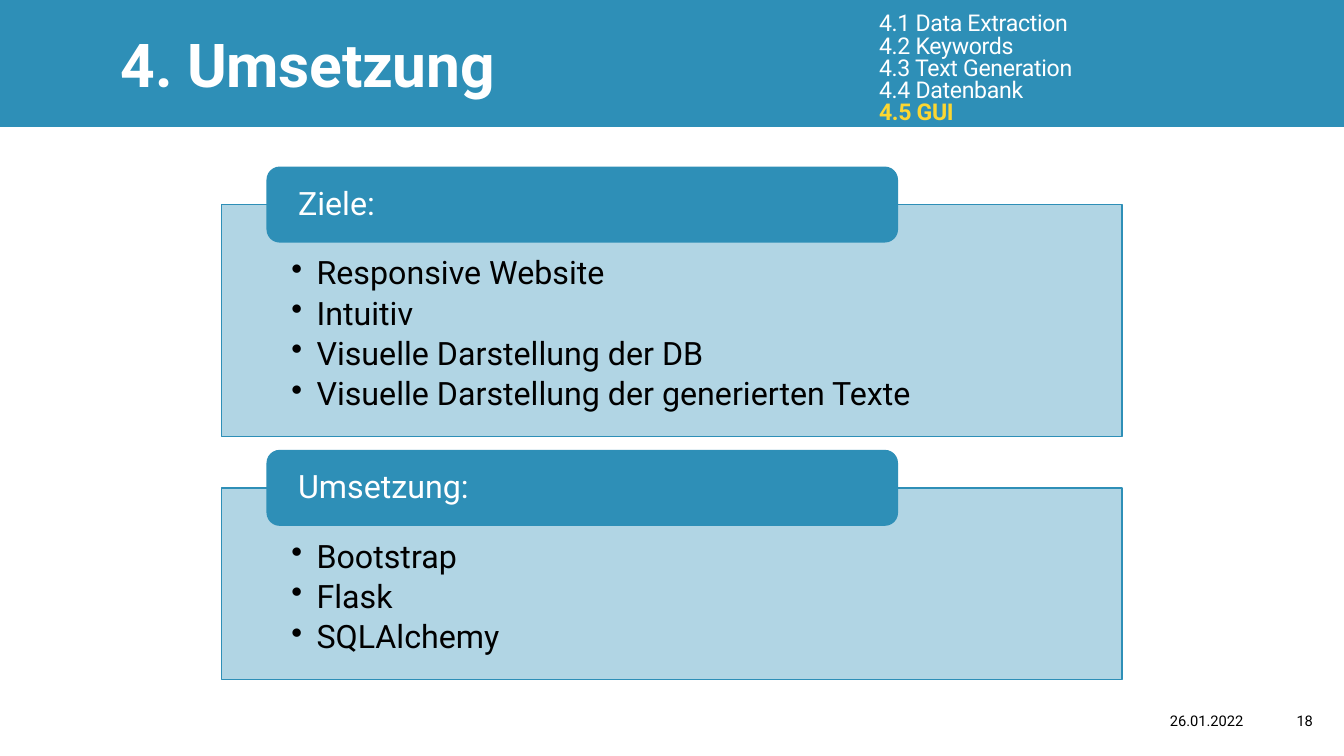
from pptx import Presentation
from pptx.dml.color import RGBColor
from pptx.enum.shapes import MSO_SHAPE
from pptx.enum.text import MSO_ANCHOR, PP_ALIGN
from pptx.oxml.ns import qn
from pptx.util import Inches, Pt
from lxml.etree import SubElement

TITLE = "4. Umsetzung"
MENU = ["4.1 Data Extraction", "4.2 Keywords", "4.3 Text Generation",
        "4.4 Datenbank", "4.5 GUI"]
ACTIVE = "4.5 GUI"
FOOTER = [("26.01.2022", 7.67, 4.76), ("18", 12.43, 0.69)]
CARDS = [
    ("Ziele:", 1.66, 2.3,
     ["Responsive Website", "Intuitiv", "Visuelle Darstellung der DB",
      "Visuelle Darstellung der generierten Texte"]),
    ("Umsetzung:", 4.47, 1.9, ["Bootstrap", "Flask", "SQLAlchemy"]),
]
FONT = "Roboto"
BLUE, WHITE, BLACK, GOLD = "2E8FB7", "FFFFFF", "000000", "FCD731"
TAB = 0.74


def color(code):
    return RGBColor.from_string(code)


def shape(kind, box, line=True, alpha=None):
    item = slide.shapes.add_shape(kind, *map(Inches, box))
    item.shadow.inherit = False
    item.fill.solid()
    item.fill.fore_color.rgb = color(BLUE)
    if alpha:
        tint = item.fill._xPr.find(qn("a:solidFill"))[0]
        SubElement(tint, qn("a:alpha")).set("val", str(alpha * 1000))
    if line:
        item.line.color.rgb = color(BLUE)
        item.line.width = Pt(1)
    else:
        item.line.fill.background()
    return item


def label(box):
    return slide.shapes.add_textbox(*map(Inches, box))


def write(item, lines, size, ink, align=PP_ALIGN.LEFT, anchor=MSO_ANCHOR.MIDDLE,
          pad=(0.1, 0.05, 0.1, 0.05), space=None, after=None,
          bullet=False, tight=False, active=None, bold=False):
    frame = item.text_frame
    frame.word_wrap = True
    frame.vertical_anchor = anchor
    (frame.margin_left, frame.margin_top,
     frame.margin_right, frame.margin_bottom) = map(Inches, pad)
    for i, text in enumerate(lines):
        para = frame.paragraphs[0] if i == 0 else frame.add_paragraph()
        run = para.add_run()
        run.text = text
        if tight:
            run._r.get_or_add_rPr().set("spc", "-20")
        para.alignment = align
        if space:
            para.line_spacing = space
        if after:
            para.space_after = Pt(after)
        if bullet:
            props = para._p.get_or_add_pPr()
            props.set("marL", str(Inches(0.25)))
            props.set("indent", str(-Inches(0.25)))
            SubElement(props, qn("a:buChar")).set("char", "•")
        font = para.font
        font.name = FONT
        font.size = Pt(size)
        font.bold = bold or text == active
        font.color.rgb = color(GOLD if text == active else ink)


deck = Presentation()
deck.slide_width, deck.slide_height = Inches(13.33), Inches(7.5)
slide = deck.slides.add_slide(deck.slide_layouts[6])

shape(MSO_SHAPE.RECTANGLE, (0, 0, 13.33, 1.26), line=False)
write(label((1.1, 0.21, 4.17, 0.84)), [TITLE], 43.2, WHITE, tight=True, bold=True)
write(label((8.62, 0.01, 4.5, 1.36)), MENU, 16.5, WHITE,
      space=0.8, tight=True, active=ACTIVE)

for head, top, height, items in CARDS:
    body = shape(MSO_SHAPE.RECTANGLE, (2.2, top + TAB / 2, 8.93, height), alpha=37)
    write(body, items, 23, BLACK, anchor=MSO_ANCHOR.TOP,
          pad=(0.69, 0.52, 0.69, 0.18), space=0.9, after=4, bullet=True)
    tab = shape(MSO_SHAPE.ROUNDED_RECTANGLE, (2.65, top, 6.25, TAB))
    write(tab, [head], 23, WHITE, pad=(0.27, 0, 0.27, 0), space=0.9)

for text, left, width in FOOTER:
    write(label((left, 6.95, width, 0.4)), [text], 10.5, BLACK, align=PP_ALIGN.RIGHT)

deck.save("out.pptx")
